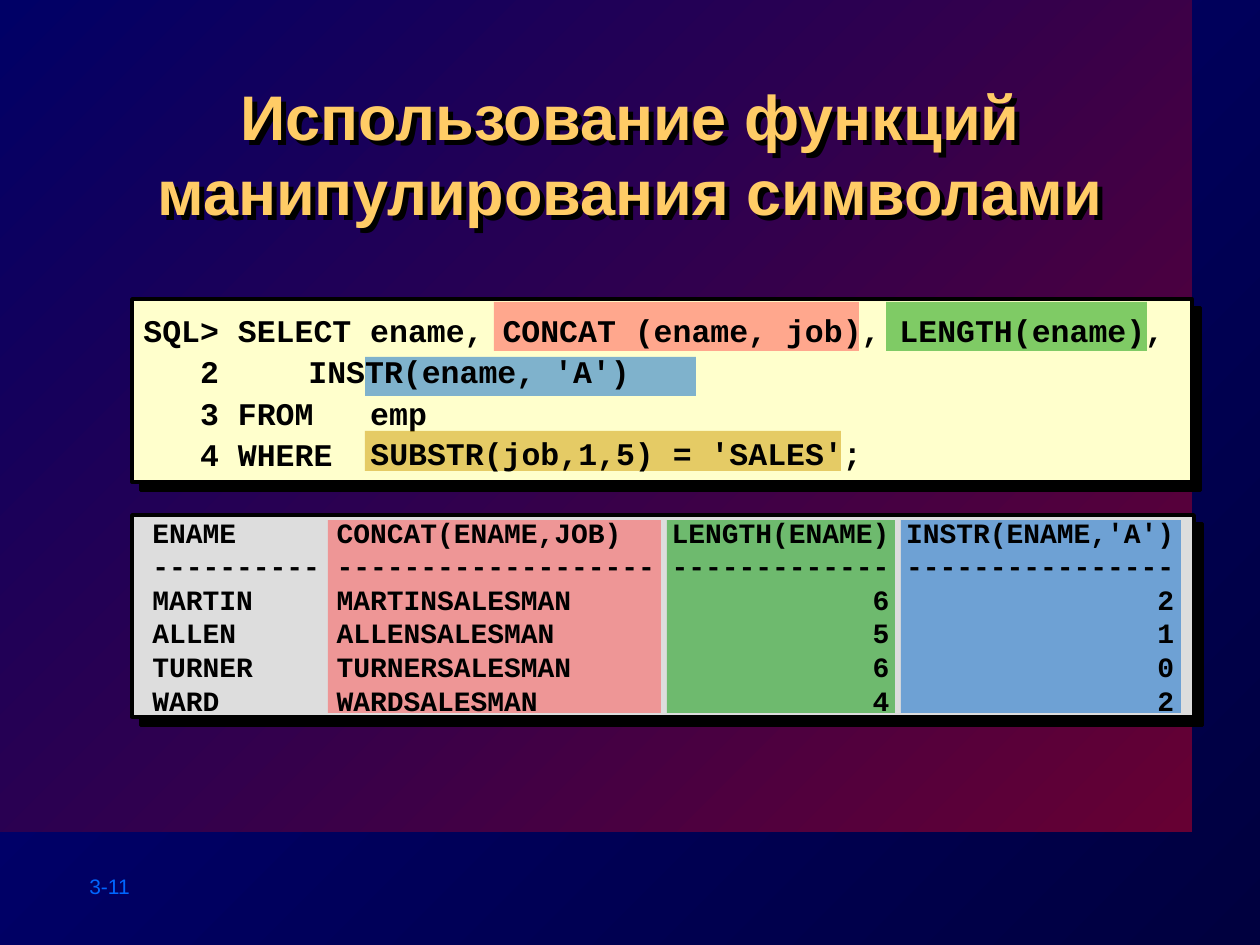
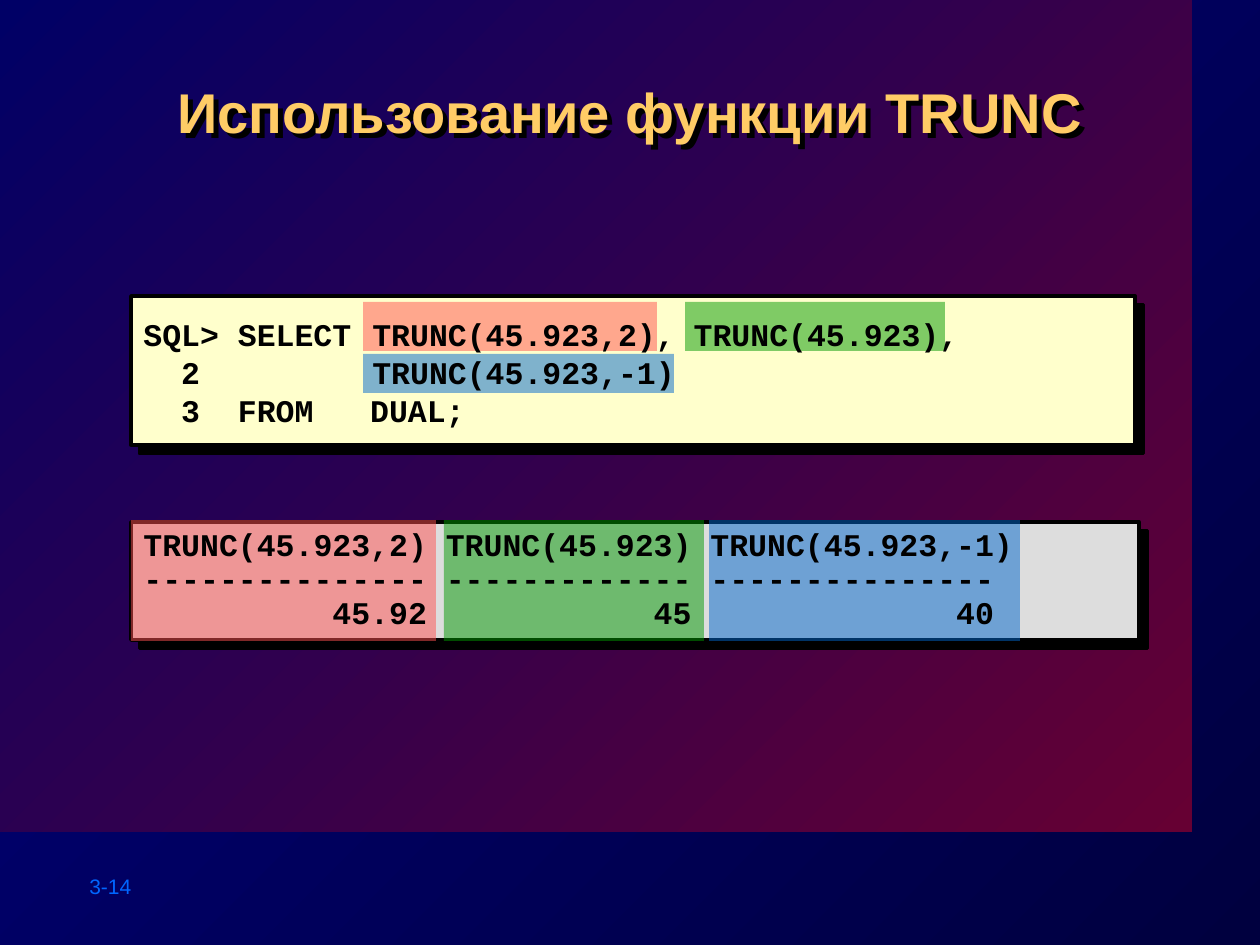
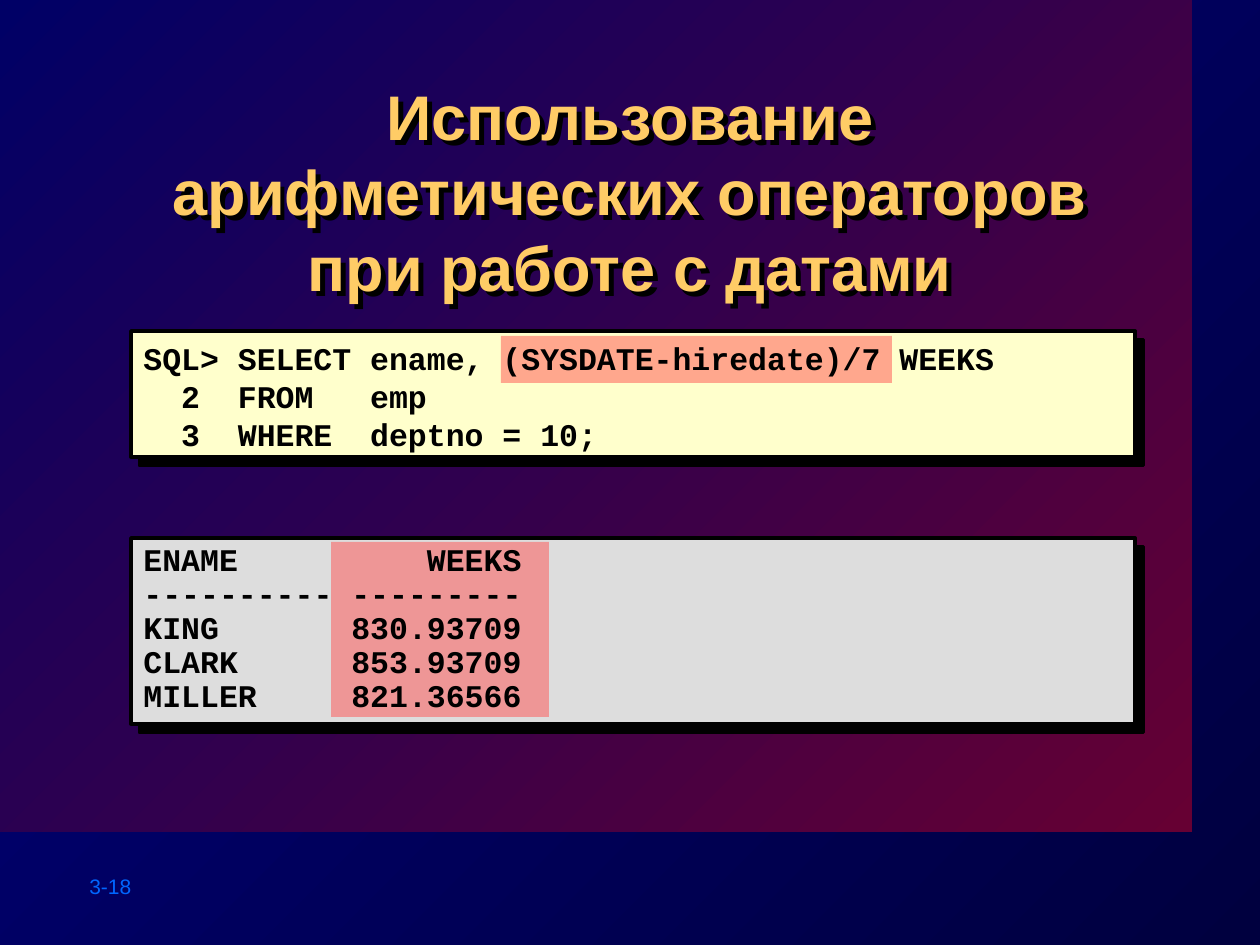
from lxml import etree
from pptx import Presentation
from pptx.dml.color import RGBColor
from pptx.enum.shapes import MSO_SHAPE
from pptx.enum.text import MSO_ANCHOR, MSO_AUTO_SIZE, PP_ALIGN
from pptx.oxml.ns import qn
from pptx.util import Pt

RECT = MSO_SHAPE.RECTANGLE
TOP, MIDDLE = MSO_ANCHOR.TOP, MSO_ANCHOR.MIDDLE
LEFT, CENTER = PP_ALIGN.LEFT, PP_ALIGN.CENTER
FIXED = MSO_AUTO_SIZE.NONE

BLACK = RGBColor(0x00, 0x00, 0x00)
CREAM = RGBColor(0xFF, 0xFF, 0xCC)
GREY = RGBColor(0xDD, 0xDD, 0xDD)
RED = RGBColor(0xFF, 0x50, 0x50)
GREEN = RGBColor(0x00, 0x99, 0x00)
BLUE = RGBColor(0x00, 0x66, 0xCC)
OCHRE = RGBColor(0xCC, 0x99, 0x00)
GOLD = RGBColor(0xFF, 0xCC, 0x66)
AZURE = RGBColor(0x00, 0x66, 0xFF)
NIGHT = RGBColor(0x00, 0x00, 0x3F)
NAVY = RGBColor(0x00, 0x00, 0x80)
WINE = RGBColor(0x66, 0x00, 0x33)
INDIGO = RGBColor(0x00, 0x00, 0x66)

SCALE = 914400 / 126
SANS, MONO = "Arial", "Courier New"
SOLID, CLEAR = 100, 50


def box(shapes, spot, color, alpha=SOLID):
    shape = shapes.add_shape(RECT, *[round(n * SCALE) for n in spot])
    shape.shadow.inherit = False
    shape.fill.solid()
    shape.fill.fore_color.rgb = color
    shape.line.fill.background()
    if alpha < SOLID:
        tone = shape.element.spPr.find(".//" + qn("a:srgbClr"))
        etree.SubElement(tone, qn("a:alpha"), val=str(alpha * 1000))
    return shape


def write(shape, lines, size, font=MONO, color=BLACK, bold=True,
          align=LEFT, anchor=TOP, space=1.0, tabs=()):
    frame = shape.text_frame
    frame.word_wrap = True
    frame.auto_size = FIXED
    frame.vertical_anchor = anchor
    for i, line in enumerate(lines):
        para = frame.add_paragraph() if i else frame.paragraphs[0]
        if tabs:
            stops = etree.SubElement(para._p.get_or_add_pPr(), qn("a:tabLst"))
            for tab in tabs:
                etree.SubElement(stops, qn("a:tab"), pos=str(round(tab * SCALE)), algn="l")
        para.alignment = align
        para.line_spacing = space
        run = para.add_run()
        run.text = line
        run.font.name = font
        run.font.size = Pt(size)
        run.font.bold = bold
        run.font.color.rgb = color


PAGES = [
    dict(
        no="3-11", title="Использование функций манипулирования символами", size=36,
        query=(132, 299, 1060, 183), answer=(132, 515, 1062, 202),
        marks=[
            (RED, (494, 302, 365, 49), (328, 520, 333, 193)),
            (GREEN, (886, 302, 261, 49), (667, 520, 228, 193)),
            (BLUE, (365, 357, 331, 39), (901, 520, 280, 193)),
        ],
        code=(131, 297, 1055, 186), lead=1.1, tabs=(165,),
        sql=[
            "SQL> SELECT ename, CONCAT (ename, job), LENGTH(ename),",
            "   2 \tINSTR(ename, 'A')",
            "   3 FROM   emp",
            "   4 WHERE",
        ],
        grid=(140, 509, 1055, 214), point=16, pitch=1.0,
        rows=[
            "ENAME      CONCAT(ENAME,JOB)   LENGTH(ENAME) INSTR(ENAME,'A')",
            "---------- ------------------- ------------- ----------------",
            "MARTIN     MARTINSALESMAN                  6                2",
            "ALLEN      ALLENSALESMAN                   5                1",
            "TURNER     TURNERSALESMAN                  6                0",
            "WARD       WARDSALESMAN                    4                2",
        ],
    ),
    dict(
        no="3-14", title="Использование функции TRUNC", size=32,
        query=(131, 296, 1004, 149), answer=(131, 522, 1008, 118),
        marks=[
            (RED, (363, 302, 294, 49), (131, 520, 305, 121)),
            (GREEN, (685, 302, 260, 49), (444, 520, 260, 121)),
            (BLUE, (363, 354, 311, 39), (709, 520, 311, 121)),
        ],
        code=(131, 263, 1008, 218), lead=1.0, tabs=(165, 229),
        sql=[
            "SQL> SELECT \tTRUNC(45.923,2), TRUNC(45.923),",
            "  2  \t\tTRUNC(45.923,-1)",
            "  3  FROM   DUAL;",
        ],
        grid=(131, 523, 1004, 115), point=18, pitch=0.9,
        rows=[
            "TRUNC(45.923,2) TRUNC(45.923) TRUNC(45.923,-1)",
            "--------------- ------------- ---------------",
            "          45.92            45              40",
        ],
    ),
    dict(
        no="3-18", title="Использование арифметических операторов при работе с датами", size=36,
        query=(131, 331, 1004, 126), answer=(131, 538, 1004, 186),
        marks=[(RED, (501, 336, 391, 47), (331, 542, 218, 175))],
        code=(131, 297, 1008, 198), lead=1.0, tabs=(),
        sql=[
            "SQL> SELECT ename, (SYSDATE-hiredate)/7 WEEKS",
            "  2  FROM   emp",
            "  3  WHERE  deptno = 10;",
        ],
        grid=(131, 538, 1004, 183), point=18, pitch=0.9,
        rows=[
            "ENAME          WEEKS",
            "---------- ---------",
            "KING       830.93709",
            "CLARK      853.93709",
            "MILLER     821.36566",
        ],
    ),
]

deck = Presentation()
deck.slide_width = round(1260 * SCALE)
deck.slide_height = round(945 * SCALE)
master = deck.slide_master
layout = deck.slide_layouts[5]

for page in PAGES:
    slide = deck.slides.add_slide(layout)
    shapes = slide.shapes
    title = shapes.title
    title.left, title.top, title.width, title.height = [
        round(n * SCALE) for n in (127, 71, 1006, 121)]
    write(title, [page["title"]], page["size"], SANS, GOLD, align=CENTER)

    query = box(shapes, page["query"], CREAM)
    answer = box(shapes, page["answer"], GREY)
    for panel in (query, answer):
        panel.line.color.rgb = BLACK
        panel.line.width = Pt(2)
    for shape, dist in ((title, 4), (query, 7.1), (answer, 7.1)):
        shape.shadow.inherit = False
        effect = shape.element.spPr.find(qn("a:effectLst"))
        shade = etree.SubElement(effect, qn("a:outerShdw"), dist=str(Pt(dist)),
                                 dir="2700000", algn="ctr", rotWithShape="0")
        etree.SubElement(shade, qn("a:srgbClr"), val=str(BLACK))

    for color, *spots in page["marks"]:
        group = shapes.add_group_shape()
        for spot in spots:
            box(group.shapes, spot, color, CLEAR)

    code = shapes.add_textbox(*[round(n * SCALE) for n in page["code"]])
    write(code, page["sql"], 18, anchor=MIDDLE, space=page["lead"], tabs=page["tabs"])
    grid = shapes.add_textbox(*[round(n * SCALE) for n in page["grid"]])
    write(grid, page["rows"], page["point"], space=page["pitch"])
    foot = shapes.add_textbox(*[round(n * SCALE) for n in (77, 867, 140, 38)])
    write(foot, [page["no"]], 12, SANS, AZURE, bold=False)

shapes = deck.slides[0].shapes
box(shapes, (365, 431, 476, 40), OCHRE, CLEAR)
clause = shapes.add_textbox(*[round(n * SCALE) for n in (358, 420, 517, 58)])
write(clause, ["SUBSTR(job,1,5) = 'SALES';"], 18, space=1.2)

band = box(shapes, (0, 0, 1192, 832), WINE)
master.shapes.element.insert(2, band.element)
for fill, tones in ((master.background.fill, (NIGHT, NAVY)), (band.fill, (WINE, INDIGO))):
    fill.gradient()
    fill.gradient_angle = 135
    for stop, tone, place in zip(fill.gradient_stops, tones, (0, 1)):
        stop.color.rgb = tone
        stop.position = place

deck.save("out.pptx")
